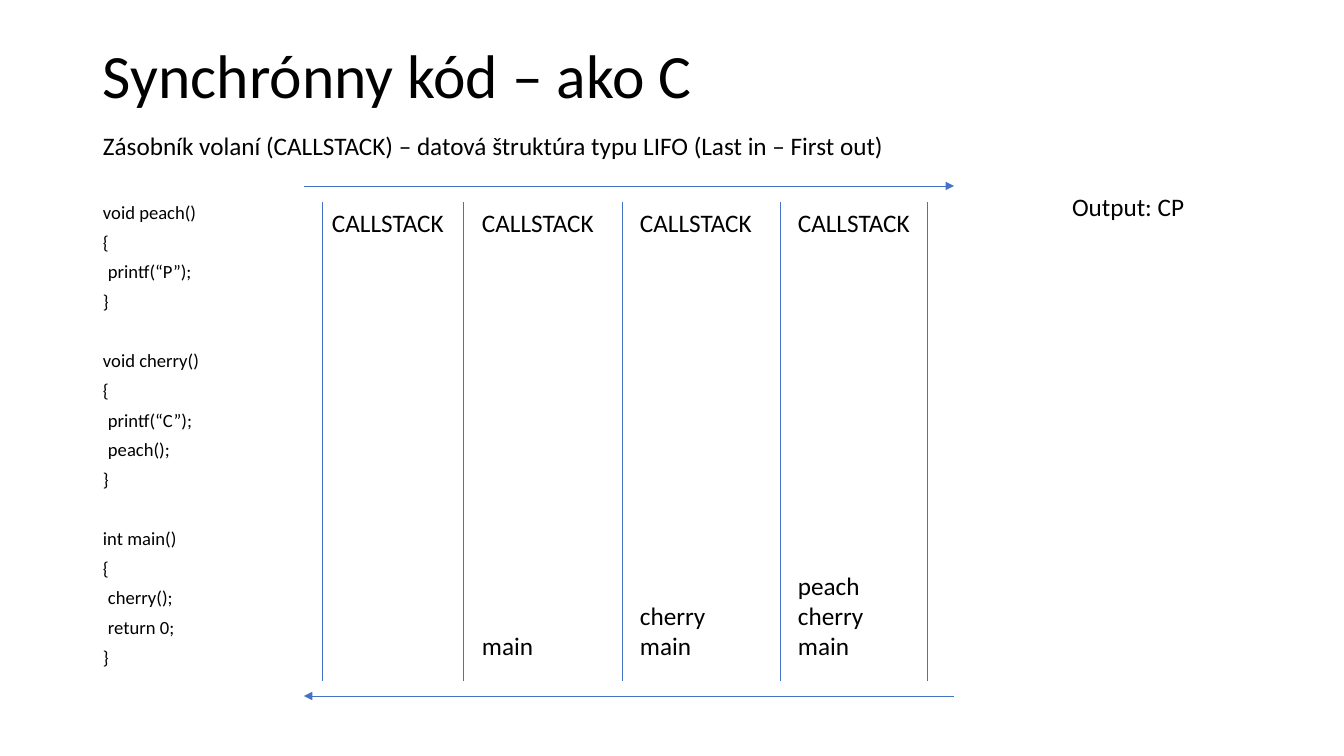
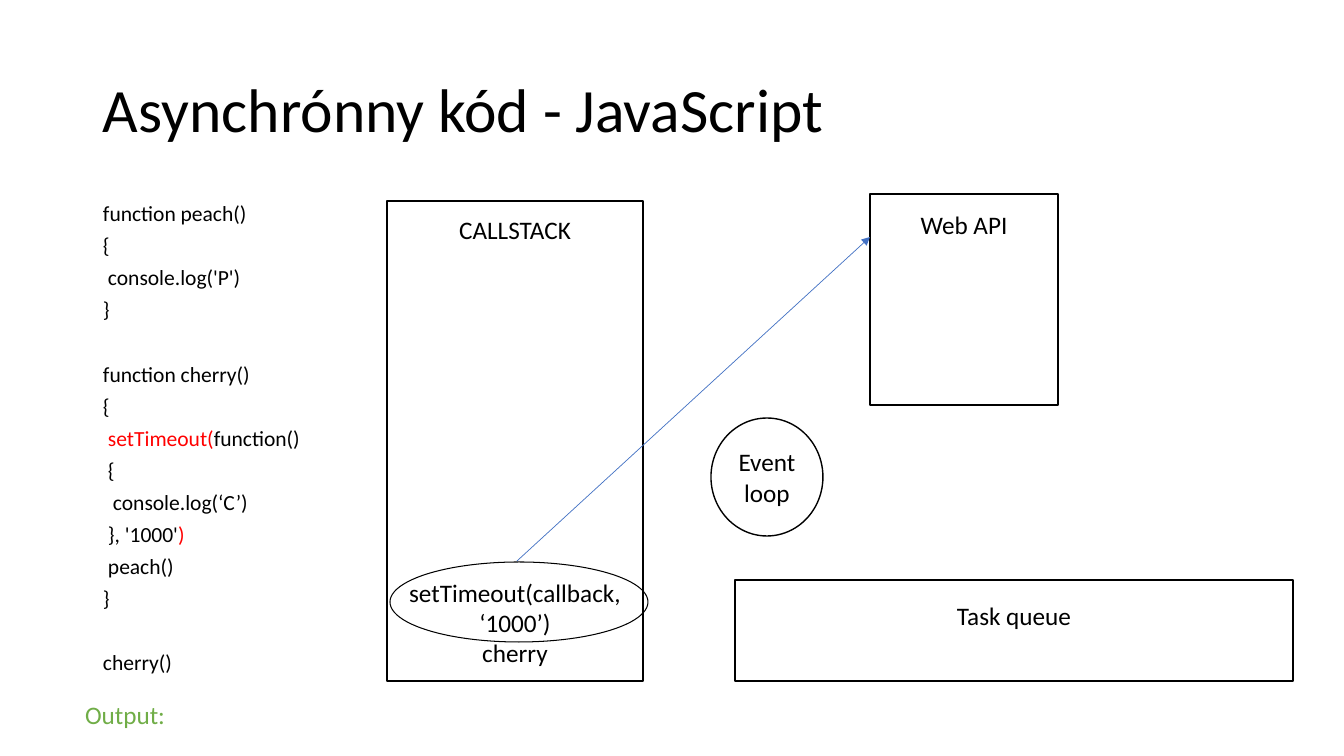
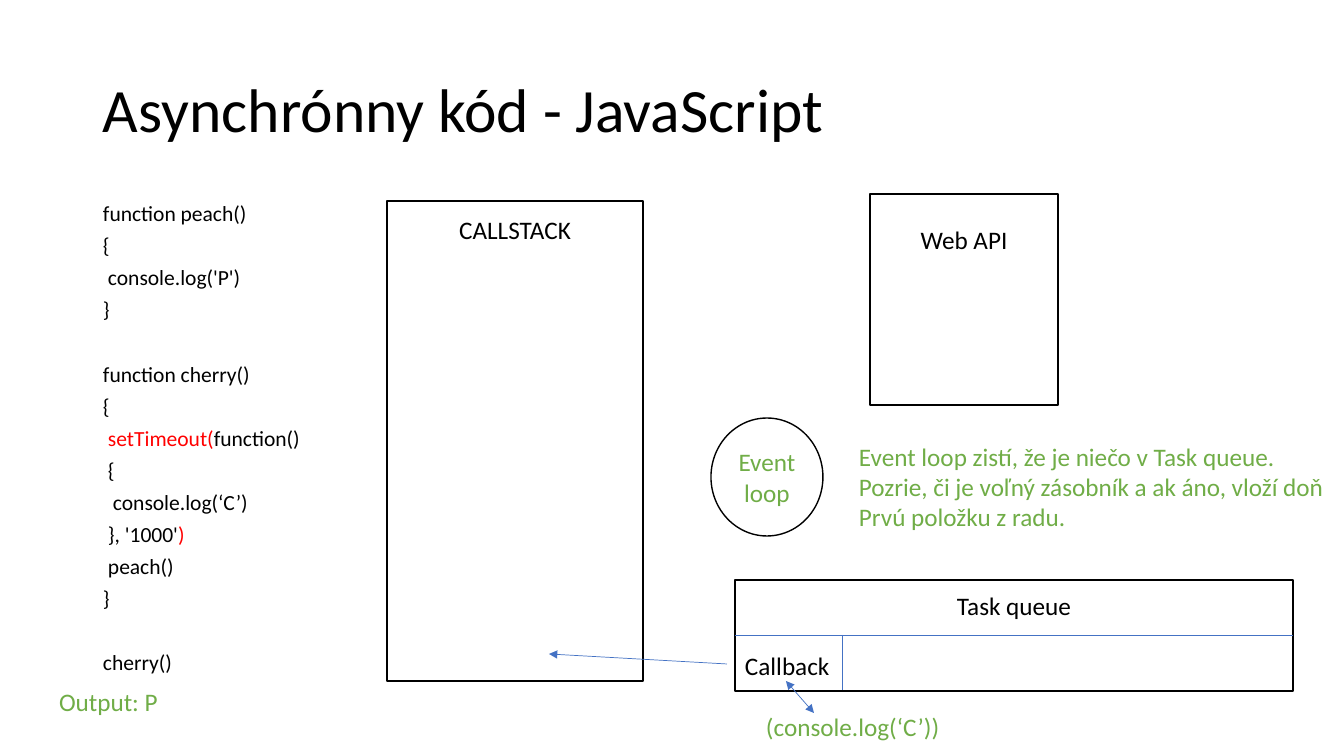
from dataclasses import dataclass
from typing import Any

from lxml.etree import SubElement
from pptx import Presentation
from pptx.dml.color import RGBColor
from pptx.enum.shapes import MSO_CONNECTOR, MSO_SHAPE
from pptx.enum.text import MSO_ANCHOR, MSO_AUTO_SIZE, PP_ALIGN
from pptx.oxml.ns import qn
from pptx.slide import Slide
from pptx.text.text import TextFrame
from pptx.util import Emu, Pt

BLACK = RGBColor(0x00, 0x00, 0x00)
WHITE = RGBColor(0xFF, 0xFF, 0xFF)
RED = RGBColor(0xFF, 0x00, 0x00)
GREEN = RGBColor(0x70, 0xAD, 0x47)
BLUE = RGBColor(0x44, 0x72, 0xC4)

FONT = "Calibri"
LINE_HEIGHT = 1.2  # single line height as a multiple of the font size
CODE_INDENT = 5
INSET_X, INSET_Y = 10, 5
TITLE_ONLY = 5


@dataclass(frozen=True)
class Area:
    """Left, top, width and height in pixels."""
    left: int
    top: int
    width: int
    height: int


@dataclass(frozen=True)
class Style:
    """Type size and spacing of a block of text."""
    size: float = 18
    spacing: float = 1.0
    before: float = 0


@dataclass(frozen=True)
class Run:
    """A stretch of text in one colour."""
    text: str
    color: RGBColor = BLACK


@dataclass(frozen=True)
class Line:
    """A paragraph, with the empty lines above it and its code depth."""
    runs: tuple[Run, ...]
    gap: int = 0
    depth: int = 0
    align: PP_ALIGN = PP_ALIGN.LEFT


@dataclass(frozen=True)
class Box:
    """An outlined shape; text is centred vertically unless inset is given."""
    area: Area
    lines: tuple[Line, ...] = ()
    inset: int | None = None
    kind: MSO_SHAPE = MSO_SHAPE.RECTANGLE
    filled: bool = True
    outline: float = 1


@dataclass(frozen=True)
class Label:
    """A plain text box."""
    area: Area
    lines: tuple[Line, ...]
    style: Style = Style()
    wrap: bool = True


@dataclass(frozen=True)
class Stroke:
    """A thin line between two points, with optional arrowheads."""
    start: tuple[int, int]
    end: tuple[int, int]
    heads: tuple[str, ...] = ()


TITLE_STYLE = Style(44, spacing=0.9)
C_STYLE = Style(13.3, spacing=0.7, before=10)
SCRIPT_STYLE = Style(15.4, spacing=0.7, before=10)
ARROW = ("tailEnd",)
DOUBLE_ARROW = ("headEnd", "tailEnd")


def px(length: float) -> Emu:
    """Turn pixels into EMU."""
    return Emu(round(length * 914400 / 100.8))


def placed(area: Area) -> tuple[Emu, Emu, Emu, Emu]:
    """Give an area in EMU."""
    return px(area.left), px(area.top), px(area.width), px(area.height)


def text_line(text: str, gap: int = 0, depth: int = 0, color: RGBColor = BLACK) -> Line:
    """Make a left-aligned line in one colour."""
    return Line((Run(text, color),), gap, depth)


def centered(text: str, gap: int = 0, color: RGBColor = BLACK) -> Line:
    """Make a centred line in one colour."""
    return Line((Run(text, color),), gap, align=PP_ALIGN.CENTER)


def apply(target: Any, values: dict[str, Any]) -> None:
    """Set attributes from a dict of format values."""
    for name, value in values.items():
        setattr(target, name, value)


def write(frame: TextFrame, lines: tuple[Line, ...], style: Style = Style(),
          anchor: MSO_ANCHOR = MSO_ANCHOR.TOP, wrap: bool = True, inset: int = INSET_Y) -> None:
    """Fill a text frame with formatted lines."""
    apply(frame, {
        "word_wrap": wrap, "auto_size": MSO_AUTO_SIZE.NONE, "vertical_anchor": anchor,
        "margin_left": px(INSET_X), "margin_right": px(INSET_X),
        "margin_top": px(inset), "margin_bottom": px(INSET_Y),
    })
    pitch = style.size * LINE_HEIGHT * style.spacing + style.before
    for index, line in enumerate(lines):
        paragraph = frame.add_paragraph() if index else frame.paragraphs[0]
        apply(paragraph, {
            "alignment": line.align, "line_spacing": style.spacing,
            "space_before": Pt(style.before + line.gap * pitch),
        })
        if line.depth:
            paragraph._p.get_or_add_pPr().set("marL", str(px(line.depth * CODE_INDENT)))
        for part in line.runs:
            run = paragraph.add_run()
            run.text = part.text
            apply(run.font, {"name": FONT, "size": Pt(style.size)})
            run.font.color.rgb = part.color


def add_titled_slide(presentation: Any, title: str, top: int) -> Slide:
    """Add a slide with its title placeholder placed and formatted."""
    slide = presentation.slides.add_slide(presentation.slide_layouts[TITLE_ONLY])
    shape = slide.shapes.title
    values = placed(Area(93, top, 1159, 146))
    apply(shape, dict(zip(("left", "top", "width", "height"), values)))
    write(shape.text_frame, (text_line(title),), TITLE_STYLE, MSO_ANCHOR.MIDDLE)
    return slide


def add_label(slide: Slide, label: Label) -> None:
    """Draw a plain text box."""
    shape = slide.shapes.add_textbox(*placed(label.area))
    write(shape.text_frame, label.lines, label.style, wrap=label.wrap)


def add_box(slide: Slide, box: Box) -> None:
    """Draw an outlined shape with its text."""
    shape = slide.shapes.add_shape(box.kind, *placed(box.area))
    shape.shadow.inherit = False
    if box.filled:
        shape.fill.solid()
        shape.fill.fore_color.rgb = WHITE
    else:
        shape.fill.background()
    shape.line.color.rgb = BLACK
    shape.line.width = Pt(box.outline)
    if box.inset is None:
        write(shape.text_frame, box.lines, anchor=MSO_ANCHOR.MIDDLE)
    else:
        write(shape.text_frame, box.lines, inset=box.inset)


def add_stroke(slide: Slide, stroke: Stroke) -> None:
    """Draw a line or an arrow."""
    ends = [px(value) for value in stroke.start + stroke.end]
    connector = slide.shapes.add_connector(MSO_CONNECTOR.STRAIGHT, *ends)
    connector.line.color.rgb = BLUE
    connector.line.width = Pt(0.5)
    for head in stroke.heads:
        SubElement(connector.line._get_or_add_ln(), qn(f"a:{head}"), type="triangle")
    SubElement(connector._element.spPr, qn("a:effectLst"))


def draw(slide: Slide, items: tuple[Box | Label | Stroke, ...]) -> None:
    """Draw items from back to front."""
    painters = {Box: add_box, Label: add_label, Stroke: add_stroke}
    for item in items:
        painters[type(item)](slide, item)


C_CODE = (
    text_line("void peach()"),
    text_line("{"),
    text_line("printf(“P”);", depth=1),
    text_line("}"),
    text_line("void cherry()", gap=1),
    text_line("{"),
    text_line("printf(“C”);", depth=1),
    text_line("peach();", depth=1),
    text_line("}"),
    text_line("int main()", gap=1),
    text_line("{"),
    text_line("cherry();", depth=1),
    text_line("return 0;", depth=1),
    text_line("}"),
)

SCRIPT_CODE = (
    text_line("function peach()"),
    text_line("{"),
    text_line("console.log('P')", depth=1),
    text_line("}"),
    text_line("function cherry()", gap=1),
    text_line("{"),
    Line((Run("setTimeout(", RED), Run("function()")), depth=1),
    text_line("{", depth=1),
    text_line("console.log(‘C’)", depth=2),
    Line((Run("}, '1000'"), Run(")", RED)), depth=1),
    text_line("peach()", depth=1),
    text_line("}"),
    text_line("cherry()", gap=1),
)

CALLS = ("peach", "cherry", "main")
STACK_ROWS = 14
STACK_LEFTS = (322, 472, 630, 788)
DIVIDERS = (463, 622, 780, 322, 927)


def stack_label(left: int, depth: int) -> Label:
    """Make a call stack column holding the given number of calls."""
    calls = CALLS[len(CALLS) - depth:]
    lines = [text_line("CALLSTACK")]
    for index, call in enumerate(calls):
        lines.append(text_line(call, gap=0 if index else STACK_ROWS - depth))
    return Label(Area(left, 202, 150, 468), tuple(lines))


def build_synchronous(presentation: Any) -> None:
    """Build the slide on synchronous code."""
    slide = add_titled_slide(presentation, "Synchrónny kód – ako C", 6)
    summary = "Zásobník volaní (CALLSTACK) – datová štruktúra typu LIFO (Last in – First out)"
    draw(slide, (
        Label(Area(93, 202, 134, 480), C_CODE, C_STYLE),
        *(stack_label(left, depth) for depth, left in enumerate(STACK_LEFTS)),
        Stroke((304, 186), (954, 186), ARROW),
        Stroke((954, 696), (304, 696), ARROW),
        *(Stroke((x, 202), (x, 681)) for x in DIVIDERS),
        Label(Area(1062, 186, 173, 40), (text_line("Output: CP"),)),
        Label(Area(93, 125, 809, 40), (text_line(summary),), wrap=False),
    ))


def build_asynchronous(presentation: Any, calls: tuple[Line, ...], api_inset: int, queue: Box,
                       loop_color: RGBColor, extras: tuple[Box | Label | Stroke, ...]) -> None:
    """Build a slide with the event loop diagram in one of its states."""
    slide = add_titled_slide(presentation, "Asynchrónny kód - JavaScript", 40)
    draw(slide, (
        Label(Area(93, 202, 228, 480), SCRIPT_CODE, SCRIPT_STYLE),
        Box(Area(387, 201, 256, 480), (centered("CALLSTACK"), *calls), inset=13),
        Box(Area(870, 194, 188, 211), (centered("Web API"),), inset=api_inset),
        queue,
        Box(Area(711, 418, 112, 118), (centered("Event loop", color=loop_color),),
            kind=MSO_SHAPE.OVAL),
        *extras,
    ))


def main() -> None:
    """Build and save the presentation."""
    presentation = Presentation()
    apply(presentation, {"slide_width": px(1344), "slide_height": px(756)})
    build_synchronous(presentation)
    build_asynchronous(
        presentation,
        calls=(centered("setTimeout(callback, ‘1000’)", gap=11), centered("cherry")),
        api_inset=15,
        queue=Box(Area(735, 580, 558, 101), (centered("Task queue"),), inset=20),
        loop_color=BLACK,
        extras=(
            Box(Area(390, 562, 258, 80), kind=MSO_SHAPE.OVAL, filled=False, outline=0.75),
            Stroke((517, 561), (870, 237), ARROW),
            Label(Area(75, 694, 603, 40), (text_line("Output:", color=GREEN),)),
        ),
    )
    explanation = (
        "Event loop zistí, že je niečo v Task queue.",
        "Pozrie, či je voľný zásobník a ak áno, vloží doň",
        "Prvú položku z radu.",
    )
    build_asynchronous(
        presentation,
        calls=(),
        api_inset=30,
        queue=Box(Area(735, 580, 558, 111),
                  (centered("Task queue"), text_line("Callback", gap=1)), inset=10),
        loop_color=GREEN,
        extras=(
            Label(Area(49, 681, 603, 40), (text_line("Output: P", color=GREEN),)),
            Stroke((735, 635), (1293, 635)),
            Stroke((842, 635), (842, 690)),
            Label(Area(849, 436, 490, 102),
                  tuple(text_line(text, color=GREEN) for text in explanation), wrap=False),
            Stroke((727, 664), (549, 654), ARROW),
            Label(Area(756, 706, 196, 40),
                  (text_line("(console.log(‘C’))", color=GREEN),), wrap=False),
            Stroke((786, 681), (814, 713), DOUBLE_ARROW),
        ),
    )
    presentation.save("out.pptx")


main()
